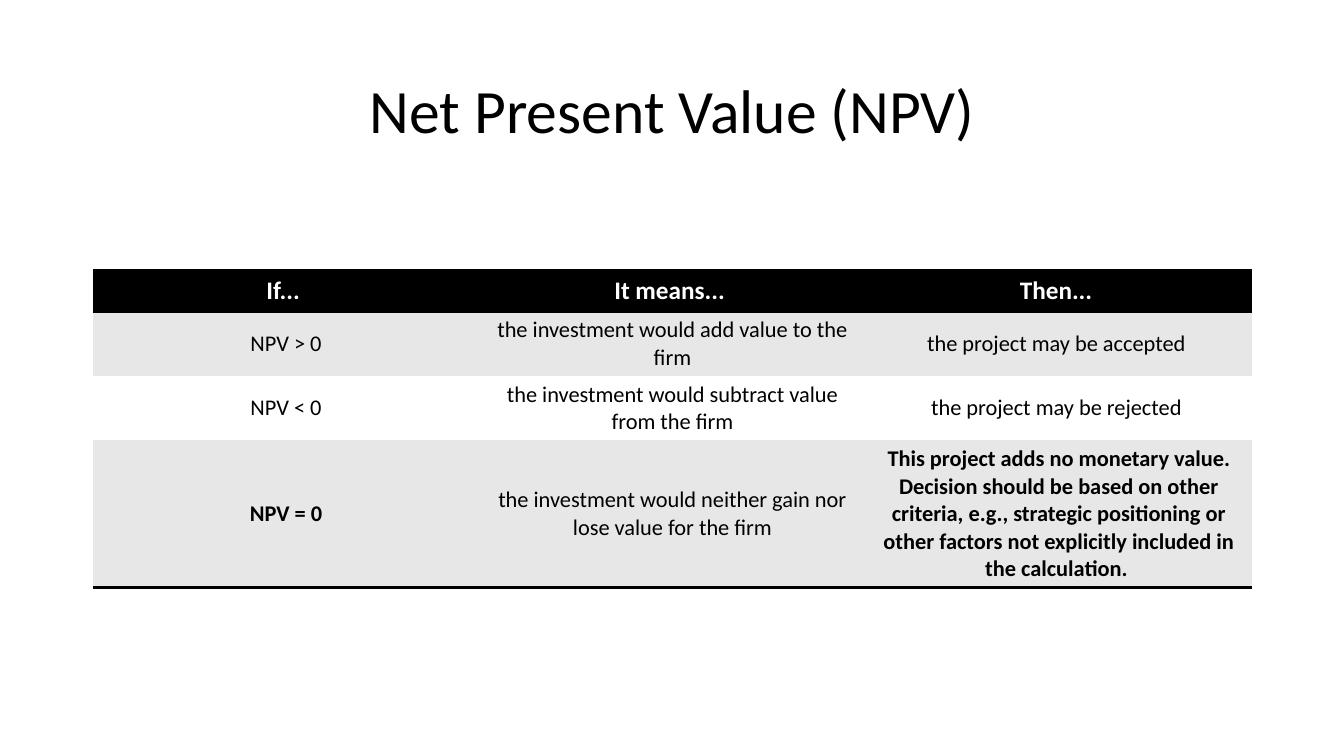
"""Build the Net Present Value decision slide."""
from lxml import etree
from pptx import Presentation
from pptx.dml.color import RGBColor
from pptx.enum.text import MSO_ANCHOR as ANCHOR, PP_ALIGN as ALIGN
from pptx.oxml.ns import qn
from pptx.util import Inches, Pt

TITLE = "Net Present Value (NPV)"
ROWS = [
    ("If... ", "It means... ", "Then... "),
    ("NPV > 0", "the investment would add value to the firm", "the project may be accepted "),
    ("NPV < 0", "the investment would subtract value from the firm", "the project may be rejected "),
    ("NPV = 0", "the investment would neither gain nor lose value for the firm",
     "This project adds no monetary value. Decision should be based on other criteria, "
     "e.g., strategic positioning or other factors not explicitly included in the calculation. "),
]
HEIGHTS = [0.41, 0.64, 0.64, 1.46]
BOLD_CELLS = {(0, 0), (0, 1), (0, 2), (3, 0), (3, 2)}
LEFT, WIDTH, TABLE_TOP = 0.92, 11.5, 2.68
BLACK, WHITE, GREY = "000000", "FFFFFF", "E7E7E7"


def rgb(value):
    return RGBColor.from_string(value)


def write(tf, text, size, color, bold=False):
    tf.text = text
    p = tf.paragraphs[0]
    p.alignment = ALIGN.CENTER
    font = p.runs[0].font
    font.name, font.size, font.bold = "Calibri", Pt(size), bold
    font.color.rgb = rgb(color)
    return p


def set_borders(cell, ruled):
    props = cell._tc.get_or_add_tcPr()
    for i, side in enumerate(("lnL", "lnR", "lnT", "lnB")):
        line = etree.Element(qn(f"a:{side}"), w=str(Pt(2)))
        if side in ruled:
            fill = etree.SubElement(line, qn("a:solidFill"))
            etree.SubElement(fill, qn("a:srgbClr"), val=BLACK)
        else:
            etree.SubElement(line, qn("a:noFill"))
        props.insert(i, line)


def add_title(slide):
    box = slide.shapes.add_textbox(Inches(LEFT), Inches(0.4), Inches(WIDTH), Inches(1.45))
    tf = box.text_frame
    tf.word_wrap = True
    tf.vertical_anchor = ANCHOR.MIDDLE
    write(tf, TITLE, 44, BLACK).line_spacing = 0.9


def add_decisions(slide):
    table = slide.shapes.add_table(len(ROWS), len(ROWS[0]), Inches(LEFT), Inches(TABLE_TOP),
                                   Inches(WIDTH), Inches(sum(HEIGHTS))).table
    table.horz_banding = False
    for row, height in zip(table.rows, HEIGHTS):
        row.height = Inches(height)
    last = len(ROWS) - 1
    ruled = {0: ("lnT", "lnB"), 1: ("lnT",), last: ("lnB",)}
    for r, texts in enumerate(ROWS):
        header = r == 0
        for c, text in enumerate(texts):
            cell = table.cell(r, c)
            cell.vertical_anchor = ANCHOR.MIDDLE
            cell.fill.solid()
            cell.fill.fore_color.rgb = rgb(BLACK if header else GREY if r % 2 else WHITE)
            write(cell.text_frame, text, 18 if header else 16,
                  WHITE if header else BLACK, (r, c) in BOLD_CELLS)
            set_borders(cell, ruled.get(r, ()))


def main():
    prs = Presentation()
    prs.slide_width, prs.slide_height = Inches(13.33), Inches(7.5)
    slide = prs.slides.add_slide(prs.slide_layouts[6])
    add_title(slide)
    add_decisions(slide)
    prs.save("out.pptx")


if __name__ == "__main__":
    main()
